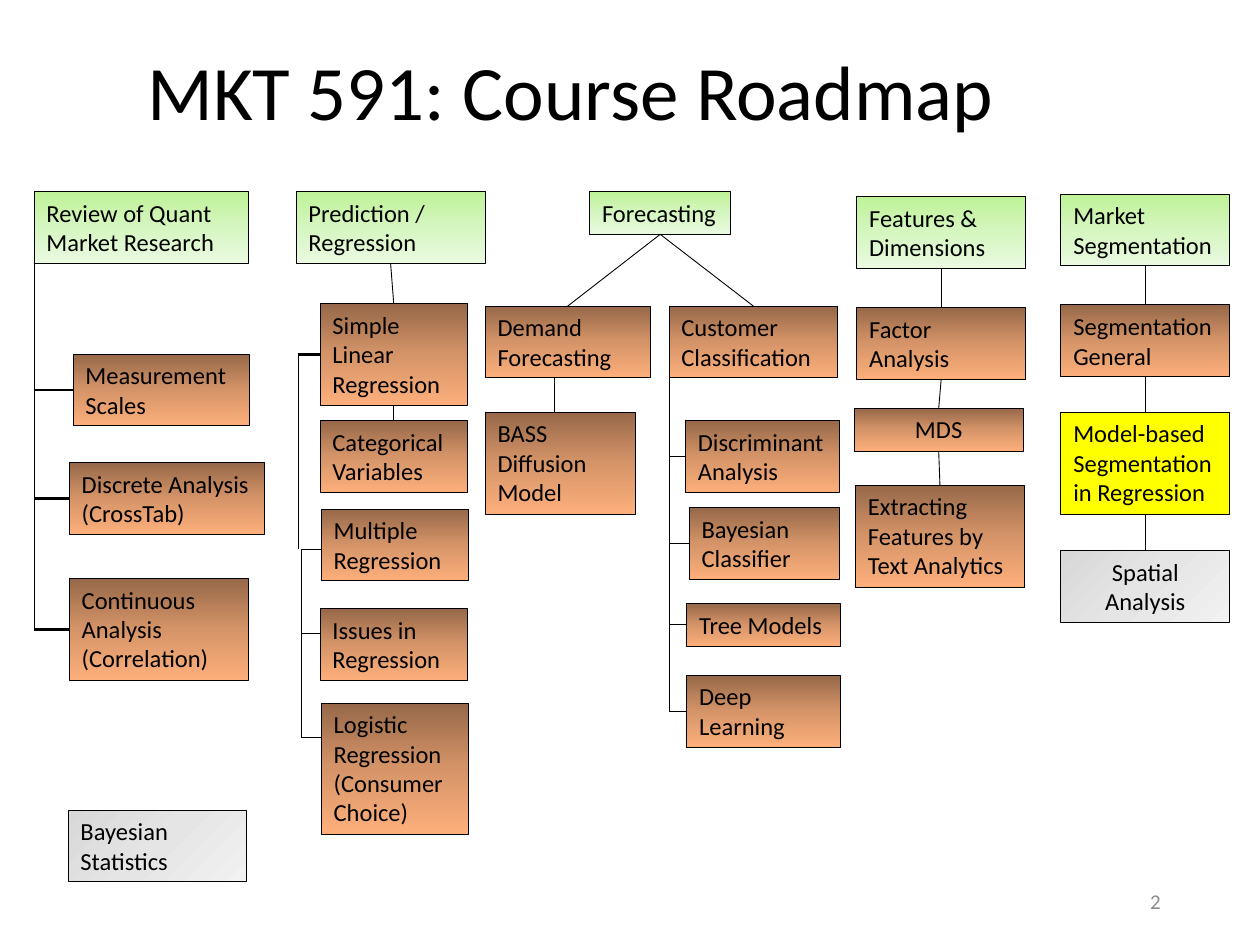
from copy import deepcopy

from lxml.etree import SubElement
from pptx import Presentation
from pptx.dml.color import RGBColor
from pptx.enum.shapes import MSO_CONNECTOR, MSO_SHAPE
from pptx.enum.text import MSO_ANCHOR, MSO_AUTO_SIZE, PP_ALIGN
from pptx.oxml.ns import qn
from pptx.util import Inches, Pt

FONT = "Calibri"
BLACK = "000000"
TOP, LEFT, BOTTOM = 0, 1, 2
THIN, THICK = 0.5, 1.5
HEIGHT_BY_LINES = {1: 0.34, 2: 0.57, 3: 0.81, 4: 1.04}

# Fill style: gradient colours and clockwise angle
GRADIENTS = {
    "topic": (("BEF297", "D5F6C0", "EAFAE0"), 90),
    "method": (("966849", "D59468", "FDAF7B"), 90),
    "extra": (("D8D8D8", "E5E5E5", "F2F2F2"), 45),
}
SOLIDS = {"current": "FFFF00"}
CENTERED = {"MDS", "Spatial Analysis"}

# Text, left, top, width, lines of text, fill style
BOXES = [
    ("Review of Quant Market Research", 0.27, 1.52, 1.7, 2, "topic"),
    ("Measurement Scales", 0.58, 2.81, 1.4, 2, "method"),
    ("Discrete Analysis (CrossTab)", 0.55, 3.67, 1.55, 2, "method"),
    ("Continuous Analysis (Correlation)", 0.55, 4.59, 1.42, 3, "method"),
    ("Bayesian Statistics", 0.54, 6.43, 1.42, 2, "extra"),
    ("Prediction / Regression", 2.35, 1.52, 1.5, 2, "topic"),
    ("Simple Linear Regression", 2.54, 2.41, 1.17, 3, "method"),
    ("Categorical Variables", 2.54, 3.34, 1.17, 2, "method"),
    ("Multiple Regression", 2.55, 4.04, 1.17, 2, "method"),
    ("Issues in Regression", 2.54, 4.83, 1.17, 2, "method"),
    ("Logistic Regression (Consumer Choice)", 2.55, 5.58, 1.17, 4, "method"),
    ("Forecasting", 4.68, 1.52, 1.12, 1, "topic"),
    ("Demand Forecasting", 3.85, 2.43, 1.31, 2, "method"),
    ("BASS Diffusion Model", 3.85, 3.27, 1.19, 3, "method"),
    ("Customer Classification", 5.31, 2.43, 1.34, 2, "method"),
    ("Discriminant Analysis", 5.44, 3.34, 1.22, 2, "method"),
    ("Bayesian Classifier", 5.47, 4.03, 1.19, 2, "method"),
    ("Tree Models", 5.45, 4.79, 1.22, 1, "method"),
    ("Deep Learning", 5.45, 5.36, 1.22, 2, "method"),
    ("Features & Dimensions", 6.8, 1.56, 1.34, 2, "topic"),
    ("Factor Analysis", 6.8, 2.44, 1.34, 2, "method"),
    ("MDS", 6.78, 3.24, 1.34, 1, "method"),
    ("Extracting Features by Text Analytics", 6.79, 3.85, 1.34, 3, "method"),
    ("Market Segmentation", 8.42, 1.54, 1.34, 2, "topic"),
    ("Segmentation General", 8.42, 2.42, 1.34, 2, "method"),
    ("Model-based Segmentation in Regression", 8.42, 3.27, 1.34, 3, "current"),
    ("Spatial Analysis", 8.42, 4.37, 1.34, 2, "extra"),
]

# Each chain runs downwards, from bottom side to top side
CHAINS = [
    ("Prediction / Regression", "Simple Linear Regression", "Categorical Variables"),
    ("Forecasting", "Demand Forecasting"),
    ("Forecasting", "Customer Classification"),
    ("Features & Dimensions", "Factor Analysis", "MDS",
     "Extracting Features by Text Analytics"),
    ("Market Segmentation", "Segmentation General",
     "Model-based Segmentation in Regression", "Spatial Analysis"),
]

# Spine x, top, bottom, then boxes joined at the middle of their left side
SPINES = [
    (0.27, 2.09, 5.0, [("Measurement Scales", THICK),
                       ("Discrete Analysis (CrossTab)", THICK),
                       ("Continuous Analysis (Correlation)", THICK)]),
    (2.37, 2.8, 4.36, [("Simple Linear Regression", THICK)]),
    (5.31, 3.0, 5.64, [("Discriminant Analysis", THIN), ("Bayesian Classifier", THIN),
                       ("Tree Models", THIN), ("Deep Learning", THIN)]),
]

# Lines that meet boxes away from the middle of a side: x1, y1, x2, y2
FREE_LINES = [
    (2.39, 4.36, 2.39, 5.85),
    (2.39, 4.36, 2.55, 4.36),
    (2.39, 5.03, 2.55, 5.03),
    (2.39, 5.85, 2.55, 5.85),
    (4.4, 3.0, 4.4, 3.27),
]


def color(hex_code):
    return RGBColor.from_string(hex_code)


def write(frame, text, size, hex_code=BLACK, align=PP_ALIGN.LEFT, anchor=MSO_ANCHOR.TOP):
    frame.word_wrap = True
    frame.vertical_anchor = anchor
    paragraph = frame.paragraphs[0]
    paragraph.alignment = align
    run = paragraph.add_run()
    run.text = text
    run.font.name = FONT
    run.font.size = Pt(size)
    run.font.color.rgb = color(hex_code)
    return paragraph


def fill_gradient(shape, hex_codes, angle):
    """Fill with three evenly spaced stops."""
    shape.fill.gradient()
    shape.fill.gradient_angle = 360 - angle
    stops = shape._element.spPr.find(qn("a:gradFill")).find(qn("a:gsLst"))
    stops.insert(1, deepcopy(stops[0]))
    for i, (stop, hex_code) in enumerate(zip(shape.fill.gradient_stops, hex_codes)):
        stop.position = i / 2
        stop.color.rgb = color(hex_code)


def add_box(slide, text, left, top, width, lines, style):
    box = slide.shapes.add_shape(
        MSO_SHAPE.RECTANGLE, Inches(left), Inches(top),
        Inches(width), Inches(HEIGHT_BY_LINES[lines]))
    box.shadow.inherit = False
    if style in GRADIENTS:
        fill_gradient(box, *GRADIENTS[style])
    else:
        box.fill.solid()
        box.fill.fore_color.rgb = color(SOLIDS[style])
    box.line.color.rgb = color(BLACK)
    box.line.width = Pt(THIN)
    write(box.text_frame, text, 14,
          align=PP_ALIGN.CENTER if text in CENTERED else PP_ALIGN.LEFT)
    box.text_frame.auto_size = MSO_AUTO_SIZE.SHAPE_TO_FIT_TEXT
    return box


def add_line(slide, x1, y1, x2, y2, weight=THIN):
    line = slide.shapes.add_connector(MSO_CONNECTOR.STRAIGHT, x1, y1, x2, y2)
    line.line.color.rgb = color(BLACK)
    line.line.width = Pt(weight)
    SubElement(line._element.spPr, qn("a:effectLst"))
    return line


def main():
    prs = Presentation()
    prs.slide_width, prs.slide_height = Inches(10), Inches(7.5)
    slide = prs.slides.add_slide(prs.slide_layouts[6])

    title = slide.shapes.add_textbox(Inches(1.07), Inches(0.03), Inches(7.27), Inches(1.45))
    heading = write(title.text_frame, "MKT 591: Course Roadmap", 44, anchor=MSO_ANCHOR.MIDDLE)
    heading.line_spacing = 0.9
    number = slide.shapes.add_textbox(Inches(7.06), Inches(6.95), Inches(2.25), Inches(0.4))
    write(number.text_frame, "2", 12, "8C8C8C", PP_ALIGN.RIGHT, MSO_ANCHOR.MIDDLE)

    boxes = {row[0]: add_box(slide, *row) for row in BOXES}

    for chain in CHAINS:
        for upper, lower in zip(chain, chain[1:]):
            link = add_line(slide, 0, 0, 0, 0)
            link.begin_connect(boxes[upper], BOTTOM)
            link.end_connect(boxes[lower], TOP)

    for x, top, bottom, branches in SPINES:
        add_line(slide, Inches(x), Inches(top), Inches(x), Inches(bottom))
        for text, weight in branches:
            box = boxes[text]
            middle = box.top + box.height // 2
            branch = add_line(slide, Inches(x), middle, box.left, middle, weight)
            branch.end_connect(box, LEFT)

    for ends in FREE_LINES:
        add_line(slide, *map(Inches, ends))

    prs.save("out.pptx")


if __name__ == "__main__":
    main()
